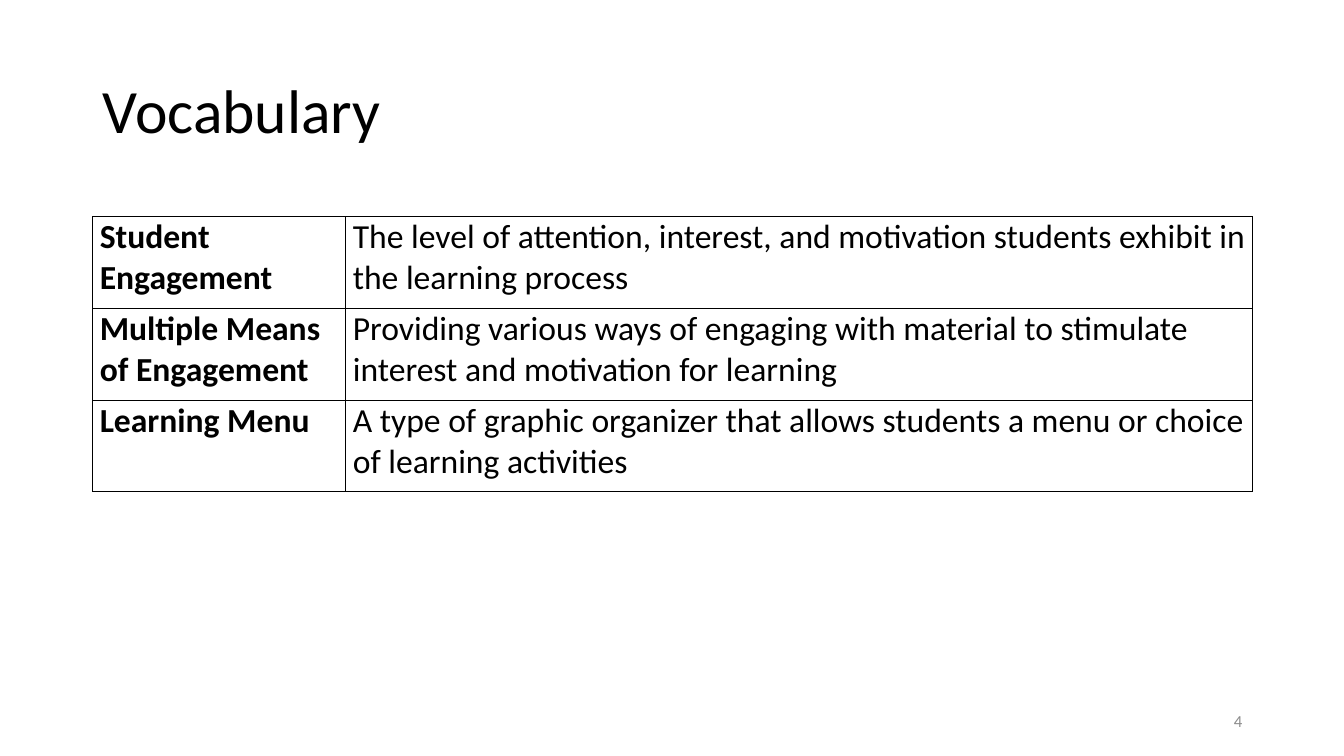
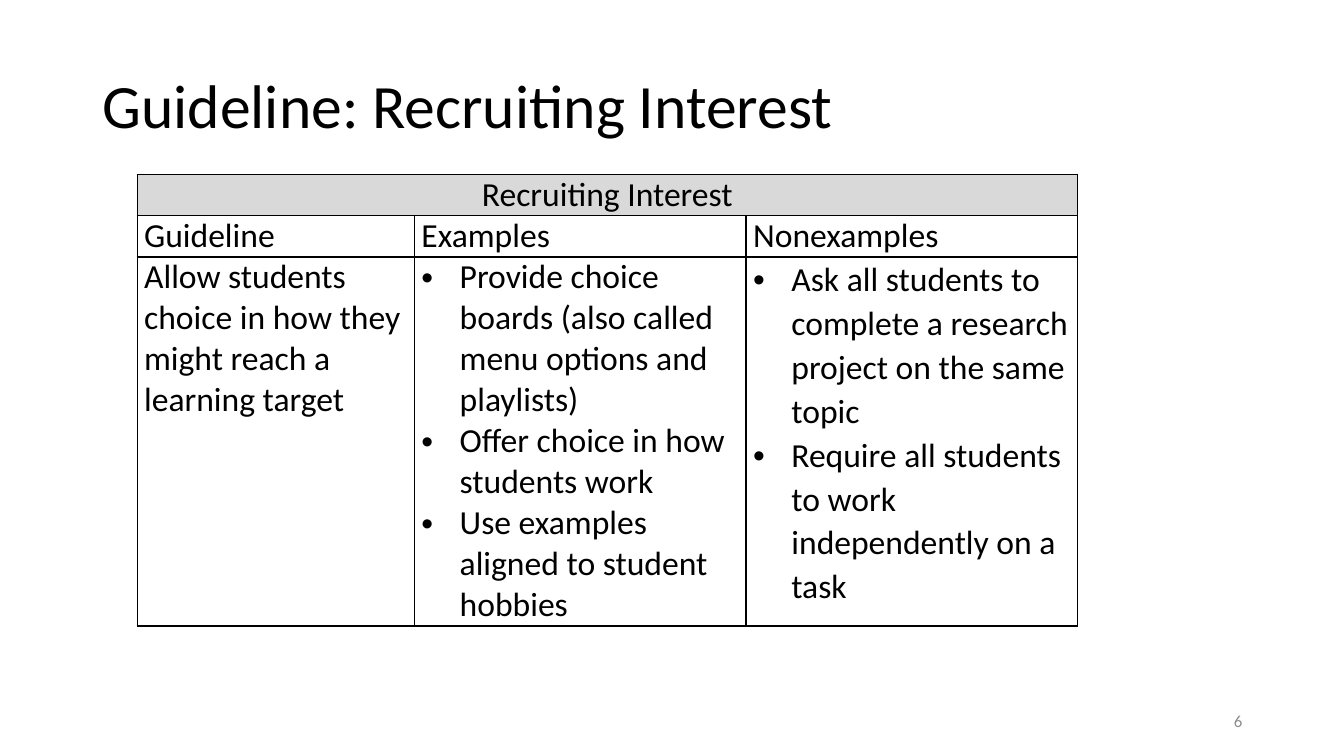
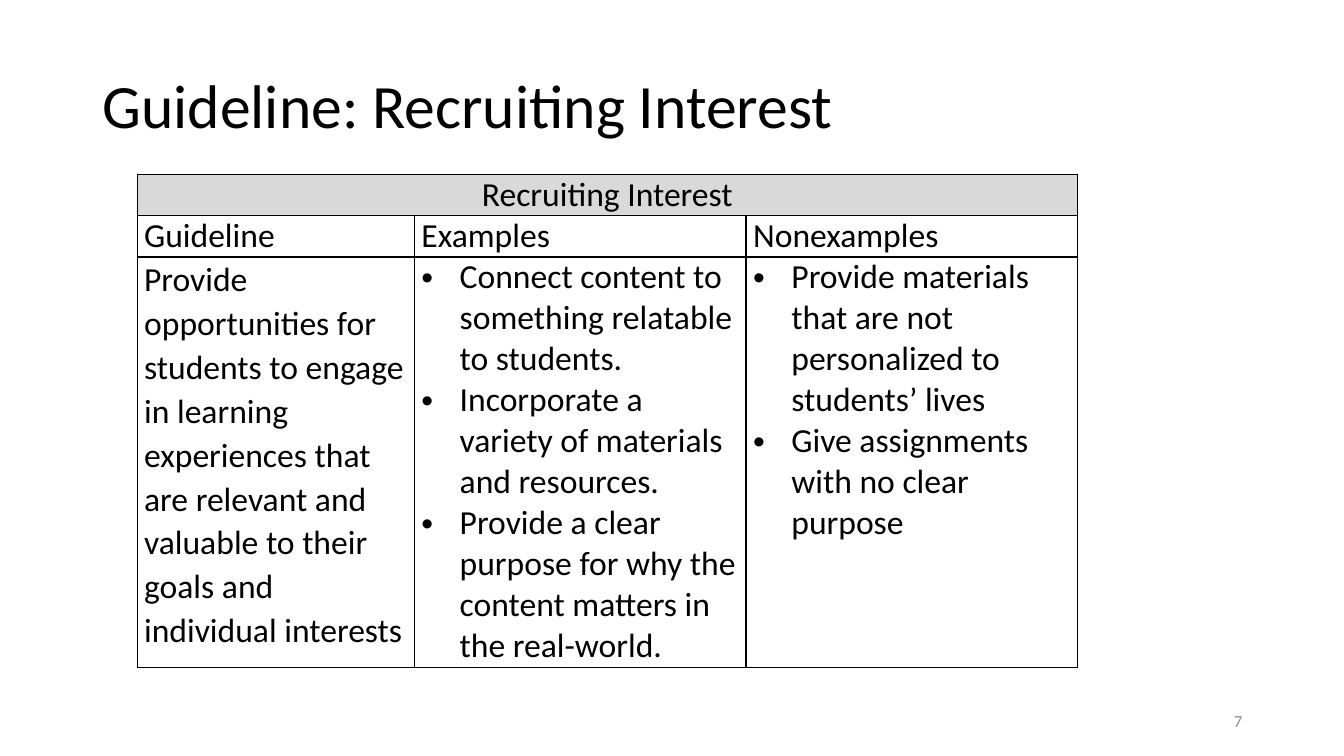
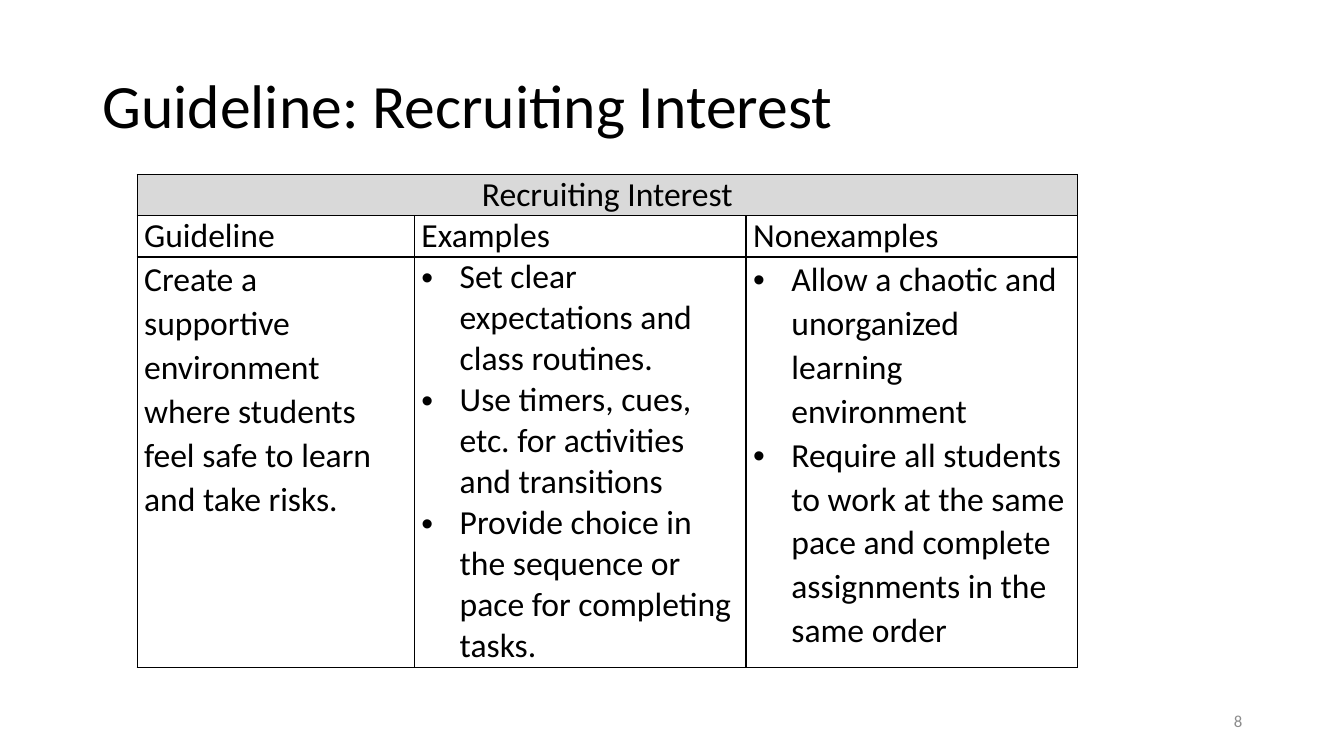
from lxml.etree import SubElement
from pptx import Presentation
from pptx.dml.color import RGBColor
from pptx.enum.text import MSO_ANCHOR, PP_ALIGN
from pptx.oxml.ns import qn
from pptx.util import Inches, Pt

BLACK = RGBColor(0x00, 0x00, 0x00)
GREY = RGBColor(0x8C, 0x8C, 0x8C)
BAND = RGBColor(0xD9, 0xD9, 0xD9)
FONT = "Calibri"
LOOSE = 1.07  # wider line spacing used in some cells


class Deck:
    def __init__(self):
        self.prs = Presentation()
        self.prs.slide_width = Inches(13.33)
        self.prs.slide_height = Inches(7.5)
        self.slide = None

    # New slide with its title and page number
    def page(self, title, number, top=0.35):
        self.slide = self.prs.slides.add_slide(self.prs.slide_layouts[6])
        self.text(title, (0.92, top, 11.5, 1.45), 44, gap=0.9)
        self.text(str(number), (9.42, 6.95, 3, 0.4), 12, color=GREY,
                  align=PP_ALIGN.RIGHT)

    def text(self, words, box, size, **style):
        frame = self.slide.shapes.add_textbox(
            *[Inches(n) for n in box]).text_frame
        frame.word_wrap = True
        frame.vertical_anchor = MSO_ANCHOR.MIDDLE
        self.fill(frame, [words], size, **style)

    # Paragraphs of one frame
    def fill(self, frame, lines, size, color=BLACK, bold=False,
             align=PP_ALIGN.LEFT, gap=None, dots=False):
        for i, line in enumerate(lines):
            para = frame.add_paragraph() if i else frame.paragraphs[0]
            if dots:
                self.dot(para)
            para.alignment = align
            if gap:
                para.line_spacing = gap
            run = para.add_run()
            run.text = line
            font = run.font
            font.name, font.size, font.bold = FONT, Pt(size), bold
            font.color.rgb = color

    def dot(self, para):
        props = para._p.get_or_add_pPr()
        props.set("marL", str(Inches(0.38)))
        props.set("indent", str(-Inches(0.38)))
        SubElement(props, qn("a:buFont"), typeface="Arial")
        SubElement(props, qn("a:buChar"), char="•")

    # Empty table with black borders
    def table(self, left, top, cols, rows):
        grid = self.slide.shapes.add_table(
            len(rows), len(cols), Inches(left), Inches(top),
            Inches(sum(cols)), Inches(sum(rows))).table
        grid.first_row = grid.horz_banding = False
        for col, width in zip(grid.columns, cols):
            col.width = Inches(width)
        for row, height in zip(grid.rows, rows):
            row.height = Inches(height)
        for cell in grid.iter_cells():
            cell.margin_left = cell.margin_right = Inches(0.07)
            cell.margin_top = cell.margin_bottom = 0
            self.edge(cell)
            cell.fill.background()
        return grid

    def edge(self, cell):
        props = cell._tc.get_or_add_tcPr()
        for side in ("lnL", "lnR", "lnT", "lnB"):
            line = SubElement(props, qn("a:" + side), w=str(Pt(1)))
            solid = SubElement(line, qn("a:solidFill"))
            SubElement(solid, qn("a:srgbClr"), val=str(BLACK))

    def cell(self, grid, row, col, lines, **style):
        self.fill(grid.cell(row, col).text_frame, lines, 24, **style)

    # Term and meaning, one row each
    def terms(self, pairs):
        grid = self.table(0.92, 2.15, [2.51, 8.99], [0.91] * len(pairs))
        for i, (term, sense) in enumerate(pairs):
            self.cell(grid, i, 0, [term], bold=True)
            self.cell(grid, i, 1, [sense])

    # Guideline with examples and nonexamples; gaps are line spacings
    def guide(self, height, goal, good, bad, gaps):
        grid = self.table(1.36, 1.73, [2.75, 3.29, 3.29],
                          [0.41, 0.41, height])
        head = grid.cell(0, 0)
        head.merge(grid.cell(0, 2))
        head.fill.solid()
        head.fill.fore_color.rgb = BAND
        self.cell(grid, 0, 0, ["Recruiting Interest"],
                  align=PP_ALIGN.CENTER)
        names = ("Guideline", "Examples", "Nonexamples")
        bodies = ([goal], good, bad)
        for i, (name, body, gap) in enumerate(zip(names, bodies, gaps)):
            self.cell(grid, 1, i, [name])
            self.cell(grid, 2, i, body, gap=gap, dots=i > 0)


TERMS = [
    ("Student Engagement",
     "The level of attention, interest, and motivation students exhibit "
     "in the learning process"),
    ("Multiple Means of Engagement",
     "Providing various ways of engaging with material to stimulate "
     "interest and motivation for learning"),
    ("Learning Menu",
     "A type of graphic organizer that allows students a menu or choice "
     "of learning activities"),
]

# Body height, goal, examples, nonexamples, line spacings
GUIDES = [
    (3.66,
     "Allow students choice in how they might reach a learning target",
     ["Provide choice boards (also called menu options and playlists)",
      "Offer choice in how students work",
      "Use examples aligned to student hobbies"],
     ["Ask all students to complete a research project on the same topic",
      "Require all students to work independently on a task"],
     (None, None, LOOSE)),
    (4.07,
     "Provide opportunities for students to engage in learning experiences "
     "that are relevant and valuable to their goals and individual interests",
     ["Connect content to something relatable to students.",
      "Incorporate a variety of materials and resources.",
      "Provide a clear purpose for why the content matters in the "
      "real-world."],
     ["Provide materials that are not personalized to students’ lives",
      "Give assignments with no clear purpose"],
     (LOOSE, None, None)),
    (4.07,
     "Create a supportive environment where students feel safe to learn "
     "and take risks.",
     ["Set clear expectations and class routines.",
      "Use timers, cues, etc. for activities and transitions",
      "Provide choice in the sequence or pace for completing tasks."],
     ["Allow a chaotic and unorganized learning environment",
      "Require all students to work at the same pace and complete "
      "assignments in the same order"],
     (LOOSE, None, LOOSE)),
]


def main():
    deck = Deck()
    # Vocabulary
    deck.page("Vocabulary", 4, top=0.4)
    deck.terms(TERMS)
    # Guidelines
    for number, guide in enumerate(GUIDES, 6):
        deck.page("Guideline: Recruiting Interest", number)
        deck.guide(*guide)
    deck.prs.save("out.pptx")


if __name__ == "__main__":
    main()
